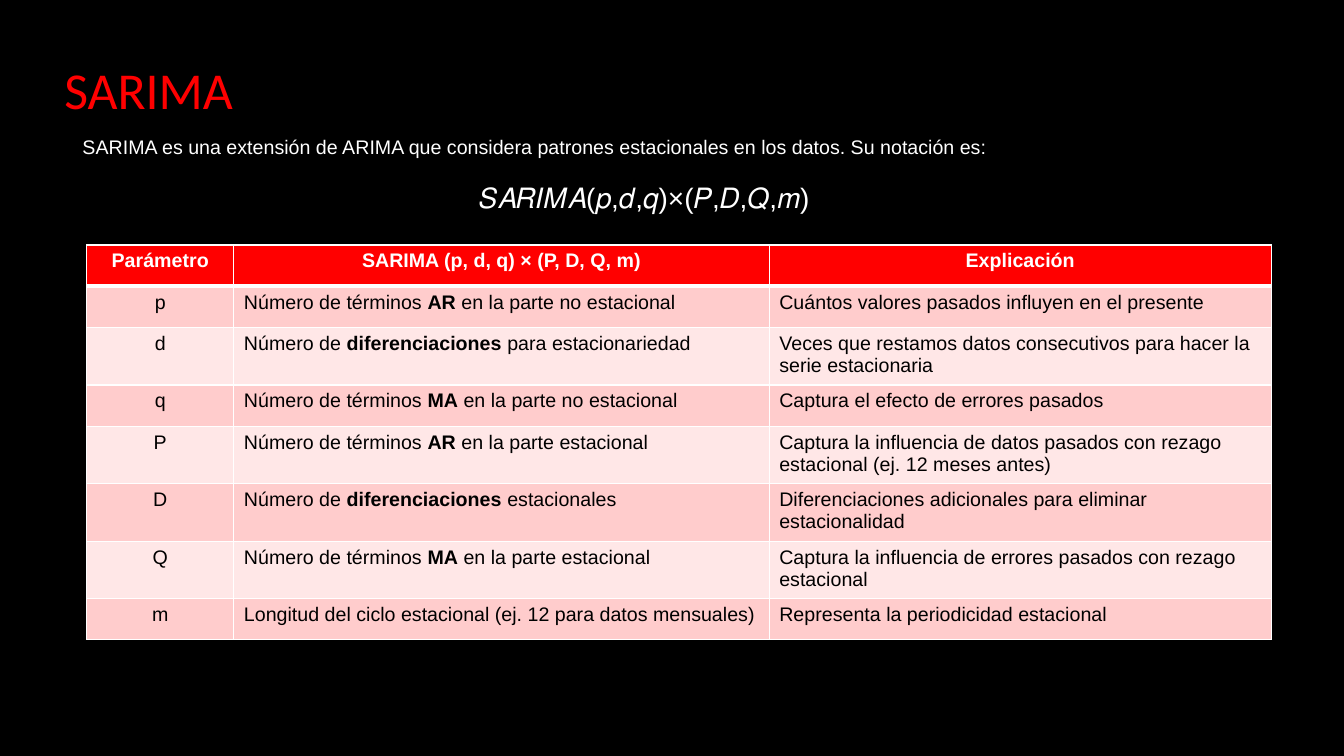
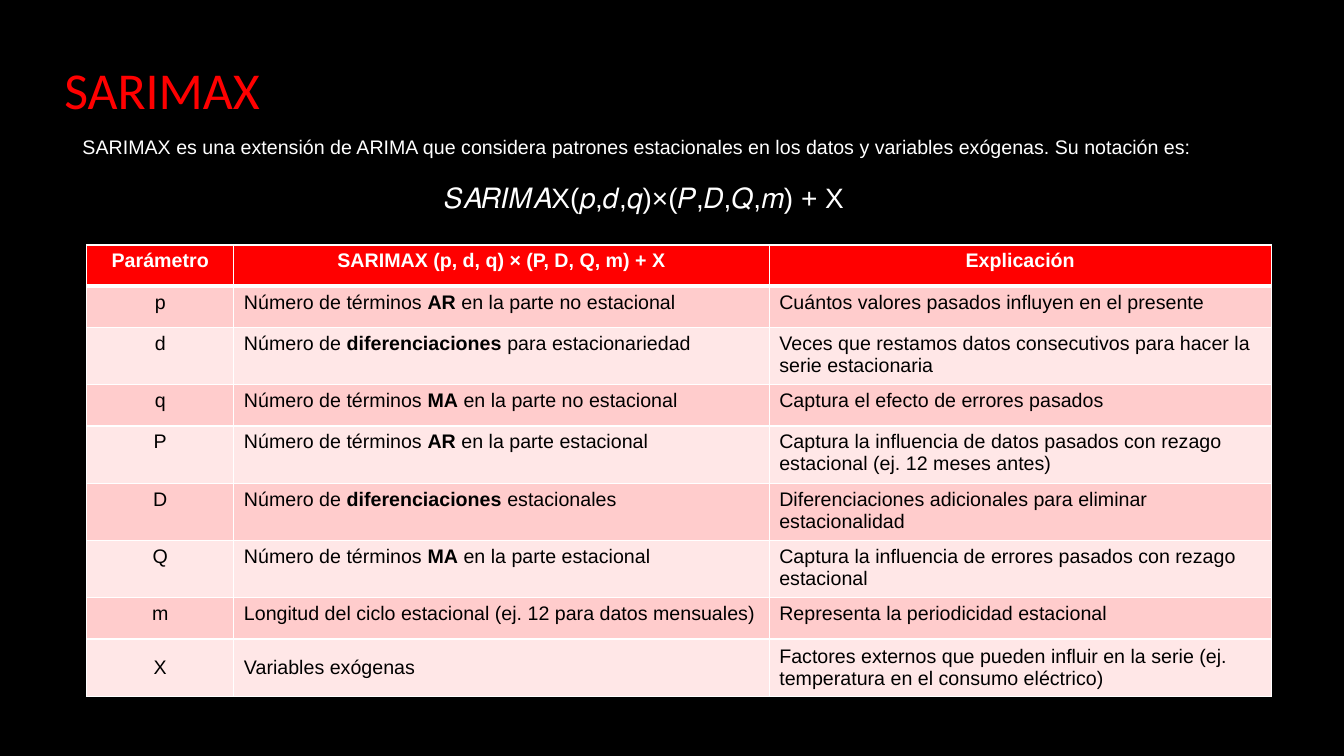
import pptx
import pptx.dml.color
import pptx.enum.text
import pptx.oxml
import pptx.oxml.ns
import pptx.util

RGBColor = pptx.dml.color.RGBColor
PP_ALIGN = pptx.enum.text.PP_ALIGN
MSO_ANCHOR = pptx.enum.text.MSO_ANCHOR

BLACK = RGBColor(0x00, 0x00, 0x00)
WHITE = RGBColor(0xFF, 0xFF, 0xFF)
RED = RGBColor(0xFF, 0x00, 0x00)
PINK = RGBColor(0xFF, 0xCC, 0xCC)
PALE_PINK = RGBColor(0xFF, 0xE7, 0xE7)

PX = 9144  # 100 px to the inch
SLIDE_SIZE = (1333, 750)
TITLE_BOX = (54, 35, 1150, 114)
INTRO_BOX = (72, 129, 1134, 91)
TABLE_POSITION = (86, 243)
COLUMN_WIDTHS = (146, 531, 498)
ROW_HEIGHT = 41

# Text formats
TITLE = {"size": pptx.util.Pt(37), "name": "Calibri", "color": RED}
INTRO = {"size": pptx.util.Pt(14), "name": "Arial", "color": WHITE}
FORMULA = {**INTRO, "size": pptx.util.Pt(20)}
HEADER = {**INTRO, "bold": True}
BODY = {**INTRO, "color": BLACK, "bold": False}

# Parameter, meaning (bold between double asterisks), explanation, lines
SARIMA_ROWS = [
    ("p", "Número de términos **AR** en la parte no estacional",
     "Cuántos valores pasados influyen en el presente", 1),
    ("d", "Número de **diferenciaciones** para estacionariedad",
     "Veces que restamos datos consecutivos para hacer la serie estacionaria", 2),
    ("q", "Número de términos **MA** en la parte no estacional",
     "Captura el efecto de errores pasados", 1),
    ("P", "Número de términos **AR** en la parte estacional",
     "Captura la influencia de datos pasados con rezago estacional (ej. 12 meses antes)", 2),
    ("D", "Número de **diferenciaciones** estacionales",
     "Diferenciaciones adicionales para eliminar estacionalidad", 2),
    ("Q", "Número de términos **MA** en la parte estacional",
     "Captura la influencia de errores pasados con rezago estacional", 2),
    ("m", "Longitud del ciclo estacional (ej. 12 para datos mensuales)",
     "Representa la periodicidad estacional", 1),
]
EXOGENOUS_ROW = (
    "X", "Variables exógenas",
    "Factores externos que pueden influir en la serie (ej. temperatura en el consumo eléctrico)", 2)

MODELS = [
    {
        "title": "SARIMA",
        "intro": "SARIMA es una extensión de ARIMA que considera patrones estacionales "
                 "en los datos. Su notación es:",
        "formula": "𝑆𝐴𝑅𝐼𝑀𝐴(𝑝,𝑑,𝑞)×(𝑃,𝐷,𝑄,𝑚)",
        "heading": "SARIMA (p, d, q) × (P, D, Q, m)",
        "rows": SARIMA_ROWS,
        "double_height": 57,
    },
    {
        "title": "SARIMAX",
        "intro": "SARIMAX es una extensión de ARIMA que considera patrones estacionales "
                 "en los datos y variables exógenas. Su notación es:",
        "formula": "𝑆𝐴𝑅𝐼𝑀𝐴X(𝑝,𝑑,𝑞)×(𝑃,𝐷,𝑄,𝑚) + X",
        "heading": "SARIMAX (p, d, q) × (P, D, Q, m) + X",
        "rows": SARIMA_ROWS + [EXOGENOUS_ROW],
        "double_height": 53,
    },
]


def to_emu(lengths):
    return [length * PX for length in lengths]


def write(paragraph, text, text_format, alignment=PP_ALIGN.LEFT):
    """Fill a paragraph; parts between double asterisks become bold."""
    paragraph.alignment = alignment
    for index, part in enumerate(text.split("**")):
        run = paragraph.add_run()
        run.text = part
        for name, value in text_format.items():
            if name == "color":
                run.font.color.rgb = value
            else:
                setattr(run.font, name, value)
        if index % 2:
            run.font.bold = True


def add_text_frame(slide, box):
    text_frame = slide.shapes.add_textbox(*to_emu(box)).text_frame
    text_frame.word_wrap = True
    return text_frame


def add_title(slide, box, title):
    text_frame = add_text_frame(slide, box)
    text_frame.vertical_anchor = MSO_ANCHOR.MIDDLE
    paragraph = text_frame.paragraphs[0]
    paragraph.line_spacing = 0.9
    write(paragraph, title, TITLE)


def add_intro(slide, box, intro, formula):
    text_frame = add_text_frame(slide, box)
    text_frame.auto_size = pptx.enum.text.MSO_AUTO_SIZE.SHAPE_TO_FIT_TEXT
    write(text_frame.paragraphs[0], intro, INTRO)
    paragraph = text_frame.add_paragraph()
    paragraph.space_before = pptx.util.Pt(16)
    write(paragraph, formula, FORMULA, PP_ALIGN.CENTER)


def set_borders(cell, widths):
    properties = cell._tc.get_or_add_tcPr()
    for side, width in widths.items():
        properties.append(pptx.oxml.parse_xml(
            f'<a:ln{side} {pptx.oxml.ns.nsdecls("a")} w="{pptx.util.Pt(width)}">'
            f'<a:solidFill><a:srgbClr val="{WHITE}"/></a:solidFill></a:ln{side}>'))


def add_parameter_table(slide, position, heading, rows, double_height):
    heights = [ROW_HEIGHT] + [double_height if row[3] == 2 else ROW_HEIGHT for row in rows]
    size = (sum(COLUMN_WIDTHS), sum(heights))
    table = slide.shapes.add_table(
        len(heights), len(COLUMN_WIDTHS), *to_emu(position + size)).table
    table.horz_banding = False
    for column, width in zip(table.columns, to_emu(COLUMN_WIDTHS)):
        column.width = width
    for row, height in zip(table.rows, to_emu(heights)):
        row.height = height

    contents = [("Parámetro", heading, "Explicación")] + [row[:3] for row in rows]
    for row_index, texts in enumerate(contents):
        is_header = row_index == 0
        fill = RED if is_header else PINK if row_index % 2 else PALE_PINK
        borders = {"L": 1, "R": 1, "T": 3 if row_index == 1 else 1, "B": 3 if is_header else 1}
        for column_index, text in enumerate(texts):
            cell = table.cell(row_index, column_index)
            set_borders(cell, borders)
            cell.fill.solid()
            cell.fill.fore_color.rgb = fill
            if texts[0] == "X":
                cell.vertical_anchor = MSO_ANCHOR.MIDDLE
            centered = is_header or column_index == 0
            write(cell.text_frame.paragraphs[0], text, HEADER if is_header else BODY,
                  PP_ALIGN.CENTER if centered else PP_ALIGN.LEFT)


def add_model_slide(presentation, model):
    slide = presentation.slides.add_slide(presentation.slide_layouts[6])
    add_title(slide, TITLE_BOX, model["title"])
    add_intro(slide, INTRO_BOX, model["intro"], model["formula"])
    add_parameter_table(slide, TABLE_POSITION, model["heading"], model["rows"],
                        model["double_height"])


def main():
    presentation = pptx.Presentation()
    presentation.slide_width, presentation.slide_height = to_emu(SLIDE_SIZE)
    # Shared black background
    background = presentation.slide_master.background.fill
    background.solid()
    background.fore_color.rgb = BLACK
    for model in MODELS:
        add_model_slide(presentation, model)
    presentation.save("out.pptx")


if __name__ == "__main__":
    main()
